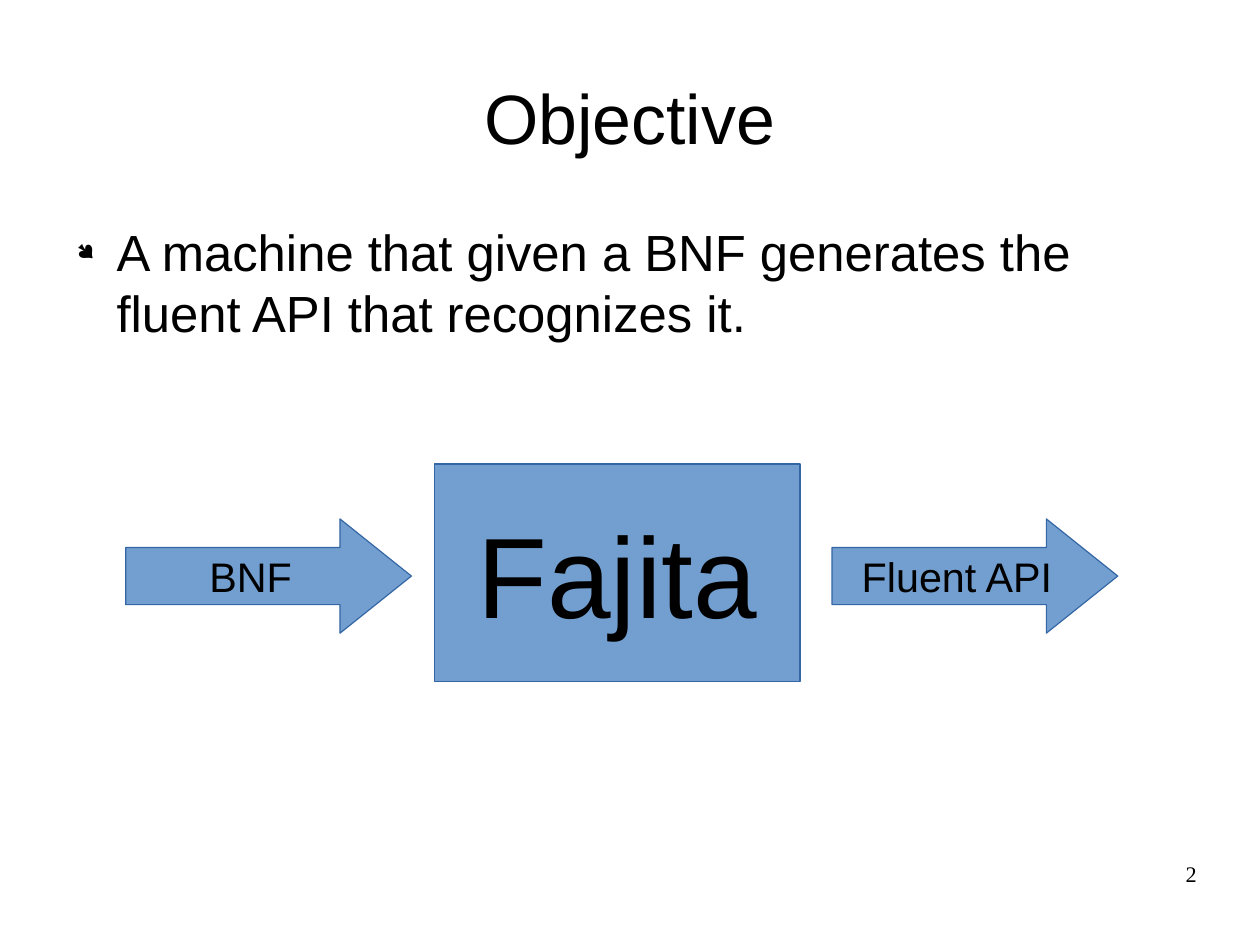
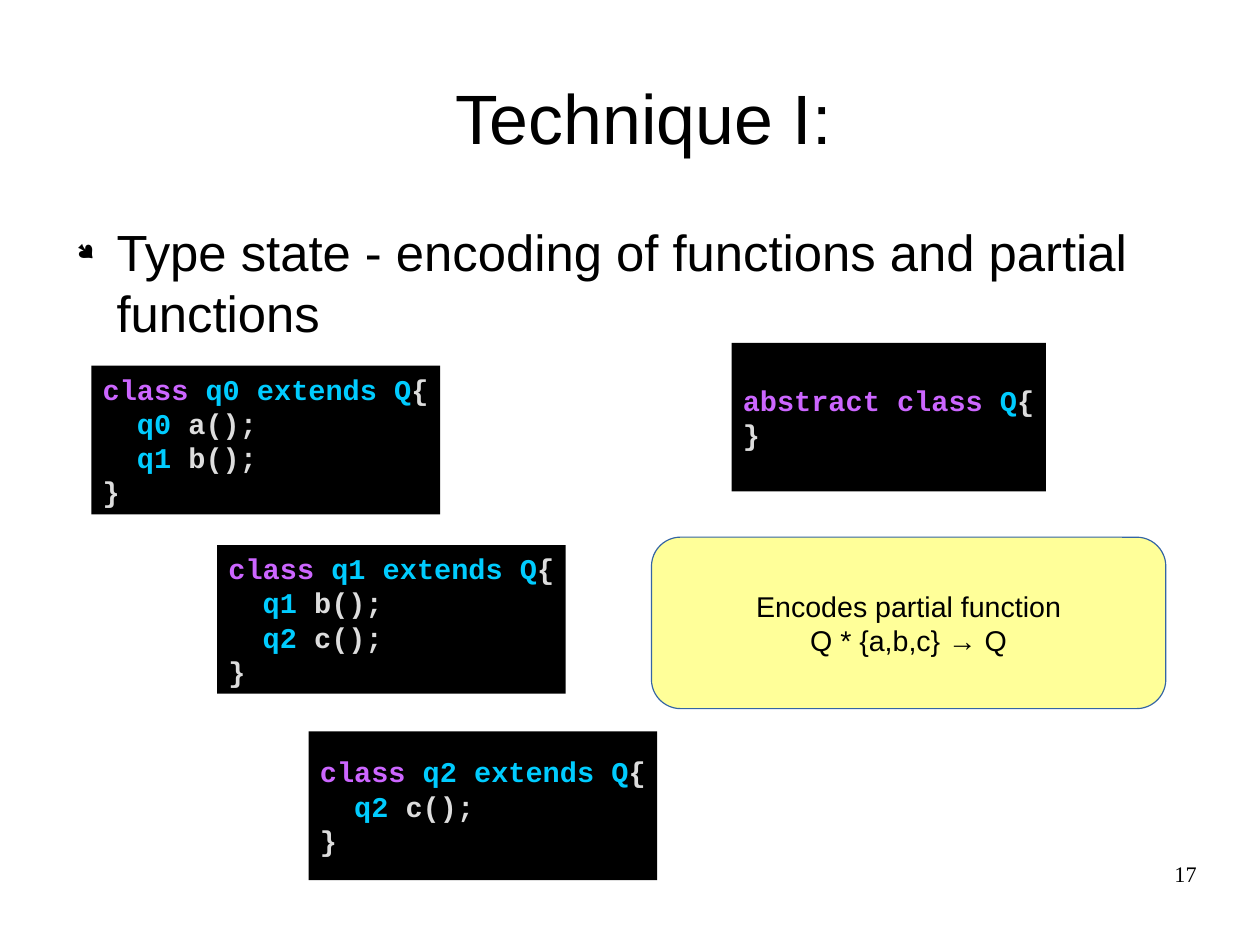
import pptx
import pptx.dml.color
import pptx.enum.shapes
import pptx.enum.text
import pptx.oxml
import pptx.oxml.ns
import pptx.util

Inches = pptx.util.Inches
RGBColor = pptx.dml.color.RGBColor
Shape = pptx.enum.shapes.MSO_SHAPE
Align = pptx.enum.text.PP_ALIGN
Anchor = pptx.enum.text.MSO_ANCHOR

CM_PER_INCH = 2.54
SLIDE_WIDTH = Inches(28 / CM_PER_INCH)
SLIDE_HEIGHT = Inches(21 / CM_PER_INCH)

BLACK = RGBColor(0x00, 0x00, 0x00)
BLUE = RGBColor(0x72, 0x9F, 0xCF)
OUTLINE = RGBColor(0x34, 0x65, 0xA4)
YELLOW = RGBColor(0xFF, 0xFF, 0x99)
KEYWORD = RGBColor(0xCC, 0x66, 0xFF)
TYPE_NAME = RGBColor(0x00, 0xCC, 0xFF)
CODE_TEXT = RGBColor(0xDD, 0xDD, 0xDD)

TITLE = {"name": "Arial", "size": 44}
BODY = {"name": "Arial", "size": 32}
MACHINE = {"name": "Arial", "size": 72}
ARROW = {"name": "Arial", "size": 26}
NOTE = {"name": "Arial", "size": 18}
CODE = {"name": "Courier New", "size": 18, "bold": True}
NUMBER = {"name": "Times New Roman", "size": 14}

TITLE_BOX = (0.55, 0.33, 9.92, 1.38)
BODY_BOX = (0.55, 1.93, 9.92, 4.79)
NUMBER_BOX = (7.9, 7.53, 2.57, 0.57)


def write(frame, lines, style, align=Align.LEFT):
    """Fill a text frame with lines, each a list of (text, colour) runs."""
    for index, runs in enumerate(lines):
        paragraph = frame.paragraphs[0] if index == 0 else frame.add_paragraph()
        paragraph.alignment = align
        for text, colour in runs:
            run = paragraph.add_run()
            run.text = text
            for key, value in style.items():
                setattr(run.font, key, pptx.util.Pt(value) if key == "size" else value)
            run.font.color.rgb = colour


def add_text(slide, box, text, style, align=Align.LEFT, anchor=Anchor.TOP):
    """Add a wrapped text box without insets and return its paragraph."""
    frame = slide.shapes.add_textbox(*map(Inches, box)).text_frame
    settings = {"word_wrap": True, "vertical_anchor": anchor, "margin_left": 0,
                "margin_right": 0, "margin_top": 0, "margin_bottom": 0}
    for key, value in settings.items():
        setattr(frame, key, value)
    write(frame, [[(text, BLACK)]], style, align)
    return frame.paragraphs[0]


def add_block(slide, kind, box, fill, lines, style, align=Align.CENTER,
              outline=OUTLINE, adjustments=()):
    """Add a filled preset shape with unwrapped, vertically centred text."""
    block = slide.shapes.add_shape(kind, *map(Inches, box))
    block.shadow.inherit = False
    for index, value in enumerate(adjustments):
        block.adjustments[index] = value
    block.fill.solid()
    block.fill.fore_color.rgb = fill
    if outline is None:
        block.line.fill.background()
    else:
        block.line.color.rgb = outline
        block.line.width = 0
    block.text_frame.word_wrap = False
    block.text_frame.vertical_anchor = Anchor.MIDDLE
    write(block.text_frame, lines, style, align)


def indent(paragraph, left, first=0):
    """Set the left margin and first-line indent and return the properties."""
    properties = paragraph._p.get_or_add_pPr()
    properties.set("marL", str(Inches(left)))
    properties.set("indent", str(Inches(first)))
    return properties


def add_bullet(paragraph):
    """Give a paragraph a small black round bullet with a hanging indent."""
    properties = indent(paragraph, 0.47, -0.35)
    namespace = pptx.oxml.ns.nsdecls("a")
    for element in (
        f'<a:buClr {namespace}><a:srgbClr val="{BLACK}"/></a:buClr>',
        f'<a:buSzPct {namespace} val="45000"/>',
        f'<a:buFont {namespace} typeface="Wingdings" charset="2"/>',
        f'<a:buChar {namespace} char="●"/>',
    ):
        properties.append(pptx.oxml.parse_xml(element))


def add_base(deck, title, statement, number, title_indent=0):
    """Add a slide with its title, bulleted statement and page number."""
    slide = deck.slides.add_slide(deck.slide_layouts[6])
    heading = add_text(slide, TITLE_BOX, title, TITLE, Align.CENTER, Anchor.MIDDLE)
    indent(heading, title_indent)
    add_bullet(add_text(slide, BODY_BOX, statement, BODY))
    add_text(slide, NUMBER_BOX, number, NUMBER, Align.RIGHT)
    return slide


def add_pipeline(slide, left, top):
    """Draw the machine between its input and output arrows."""
    add_block(slide, Shape.RECTANGLE, (left + 2.7, top, 3.2, 1.9), BLUE,
              [[("Fajita", BLACK)]], MACHINE)
    for offset, label in ((0, "BNF"), (6.18, "Fluent API")):
        add_block(slide, Shape.RIGHT_ARROW, (left + offset, top + 0.48, 2.5, 1), BLUE,
                  [[(label, BLACK)]], ARROW, adjustments=(0.5, 0.625))


def add_class(slide, box, keywords, declaration, methods=()):
    """Draw a black code panel declaring one class and its methods."""
    lines = [[(keywords + " ", KEYWORD), (declaration, TYPE_NAME), ("{", CODE_TEXT)]]
    for result, method in methods:
        lines.append([("  ", CODE_TEXT), (result, TYPE_NAME), (f" {method}();", CODE_TEXT)])
    lines.append([("}", CODE_TEXT)])
    add_block(slide, Shape.RECTANGLE, box, BLACK, lines, CODE, Align.LEFT, outline=None)


def build_objective(deck):
    """Build the objective slide."""
    slide = add_base(
        deck, "Objective",
        "A machine that given a BNF generates the fluent API that recognizes it.", "2")
    add_pipeline(slide, 1.1, 4.06)


def build_technique(deck):
    """Build the type state technique slide."""
    slide = add_base(
        deck, "Technique I:",
        "Type state - encoding of functions and partial functions", "17", 0.24)
    states = (
        (0.8, 3.2, "q0", (("q0", "a"), ("q1", "b"))),
        (1.9, 4.77, "q1", (("q1", "b"), ("q2", "c"))),
        (2.7, 6.4, "q2", (("q2", "c"),)),
    )
    for left, top, state, methods in states:
        add_class(slide, (left, top, 3.05, 1.3), "class", f"{state} extends Q", methods)
    add_class(slide, (6.4, 3, 2.75, 1.3), "abstract class", "Q")
    add_block(slide, Shape.ROUNDED_RECTANGLE, (5.7, 4.7, 4.5, 1.5), YELLOW,
              [[("Encodes partial function", BLACK)], [("Q * {a,b,c} → Q", BLACK)]],
              NOTE, adjustments=(0.17,))


def main():
    """Build and save the presentation."""
    deck = pptx.Presentation()
    deck.slide_width = SLIDE_WIDTH
    deck.slide_height = SLIDE_HEIGHT
    build_objective(deck)
    build_technique(deck)
    deck.save("out.pptx")


if __name__ == "__main__":
    main()
